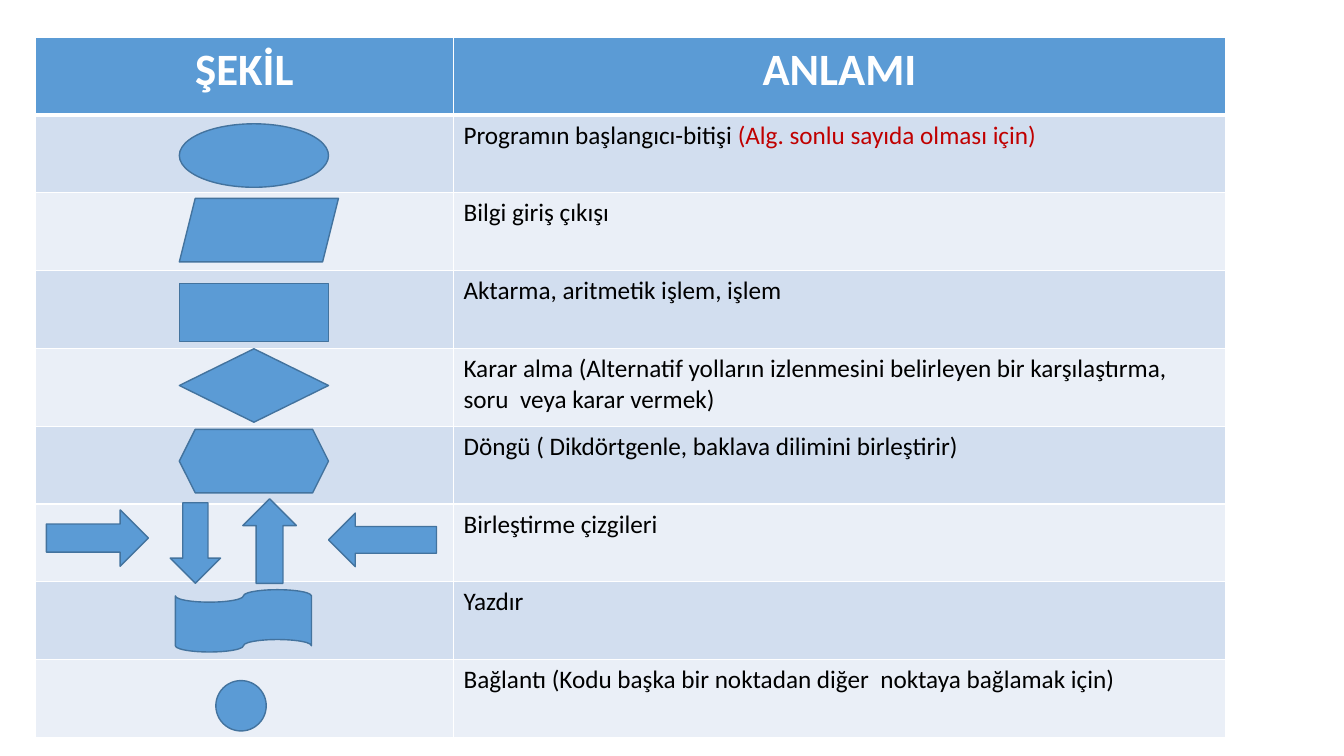
"""Build a slide with a table of flowchart symbols and their meanings."""
from lxml import etree
from pptx import Presentation
from pptx.dml.color import RGBColor
from pptx.enum.shapes import MSO_SHAPE as SHAPE
from pptx.enum.text import PP_ALIGN
from pptx.oxml.ns import qn
from pptx.util import Cm, Pt

CENTER, LEFT = PP_ALIGN.CENTER, PP_ALIGN.LEFT
OVAL, SLANT, RECT = SHAPE.OVAL, SHAPE.PARALLELOGRAM, SHAPE.RECTANGLE
DIAMOND, HEXA = SHAPE.DIAMOND, SHAPE.HEXAGON
RIGHT, DOWN = SHAPE.RIGHT_ARROW, SHAPE.DOWN_ARROW
UP, BACK = SHAPE.UP_ARROW, SHAPE.LEFT_ARROW
TAPE, DOT = SHAPE.FLOWCHART_PUNCHED_TAPE, SHAPE.FLOWCHART_CONNECTOR

HEAD = ["ŞEKİL", "ANLAMI"]
ROWS = [
    [("Programın başlangıcı-bitişi ", "black"),
     ("(Alg. sonlu sayıda olması için)", "red")],
    [("Bilgi giriş çıkışı", "black")],
    [("Aktarma, aritmetik işlem, işlem", "black")],
    [("Karar alma (Alternatif yolların izlenmesini belirleyen bir "
      "karşılaştırma, soru  veya karar vermek)", "black")],
    [("Döngü ( Dikdörtgenle, baklava dilimini birleştirir)", "black")],
    [("Birleştirme çizgileri", "black")],
    [("Yazdır ", "black")],
    [("Bağlantı (Kodu başka bir noktadan diğer  noktaya bağlamak için)",
      "black")],
]
AXIS, WIDE, TALL = 4.52, 3.76, 1.6
SIGNS = [
    (OVAL, AXIS, 3.12, WIDE, TALL),
    (SLANT, AXIS, 5, 4.01, TALL),
    (RECT, AXIS, 7.14, WIDE, 1.47),
    (DIAMOND, AXIS, 8.79, WIDE, 1.85),
    (HEXA, AXIS, 10.82, WIDE, TALL),
    (RIGHT, 1.17, 12.85, 2.57, 1.42),
    (DOWN, 4.29, 12.67, 1.27, 2.03),
    (UP, 6.12, 12.57, 1.35, 2.13),
    (BACK, 8.28, 12.93, 2.72, 1.35),
    (TAPE, 4.42, 14.86, 3.43, 1.57),
    (DOT, 5.44, 17.15, 1.27, 1.27),
]


class Deck:
    """Hold the style and the current slide."""

    font = "Calibri"
    hues = {"blue": "5B9BD5", "edge": "43739E", "dark": "D2DEEF",
            "light": "EAEFF7", "white": "FFFFFF", "black": "000000",
            "red": "C00000"}

    def __init__(self, show):
        """Add a blank slide to the show."""
        self.slide = show.slides.add_slide(show.slide_layouts[6])

    def hue(self, name):
        """Return the named colour."""
        return RGBColor.from_string(self.hues[name])

    def paint(self, item, name):
        """Fill an item with one colour."""
        item.fill.solid()
        item.fill.fore_color.rgb = self.hue(name)

    def sign(self, kind, x, y, w, h):
        """Draw one flowchart symbol."""
        shape = self.slide.shapes.add_shape(kind, Cm(x), Cm(y), Cm(w), Cm(h))
        shape.shadow.inherit = False
        self.paint(shape, "blue")
        shape.line.color.rgb = self.hue("edge")
        shape.line.width = Pt(1)

    def label(self, cell, runs, size, bold, align):
        """Put coloured runs into a cell."""
        para = cell.text_frame.paragraphs[0]
        para.alignment = align
        for text, name in runs:
            run = para.add_run()
            run.text = text
            font = run.font
            font.name, font.size, font.bold = self.font, Pt(size), bold
            font.color.rgb = self.hue(name)

    def edge(self, cell, side, width):
        """Draw one white border of a cell."""
        props = cell._tc.get_or_add_tcPr()
        line = etree.SubElement(props, qn("a:ln" + side), w=str(Pt(width)))
        fill = etree.SubElement(line, qn("a:solidFill"))
        etree.SubElement(fill, qn("a:srgbClr"), val=self.hues["white"])

    def grid(self, x, y, cols, high, count):
        """Add a table with a head row and banded rows."""
        frame = self.slide.shapes.add_table(
            count, len(cols), Cm(x), Cm(y), Cm(sum(cols)), Cm(high * count))
        table = frame.table
        for col, wide in zip(table.columns, cols):
            col.width = Cm(wide)
        for r, row in enumerate(table.rows):
            row.height = Cm(high)
            tint = "blue" if r == 0 else ("light", "dark")[r % 2]
            for cell in row.cells:
                for side in "LRTB":
                    thick = (r, side) in ((0, "B"), (1, "T"))
                    self.edge(cell, side, 3 if thick else 1)
                self.paint(cell, tint)
        return table


def main():
    """Make the slide and save it."""
    show = Presentation()
    show.slide_width, show.slide_height = Cm(33.87), Cm(19.05)
    deck = Deck(show)
    table = deck.grid(0.89, 0.94, (10.54, 19.46), 1.96, len(ROWS) + 1)
    for c, text in enumerate(HEAD):
        deck.label(table.cell(0, c), [(text, "white")], 32, True, CENTER)
    for r, runs in enumerate(ROWS, 1):
        deck.label(table.cell(r, 1), runs, 18, False, LEFT)
    for sign in SIGNS:
        deck.sign(*sign)
    show.save("out.pptx")


main()
